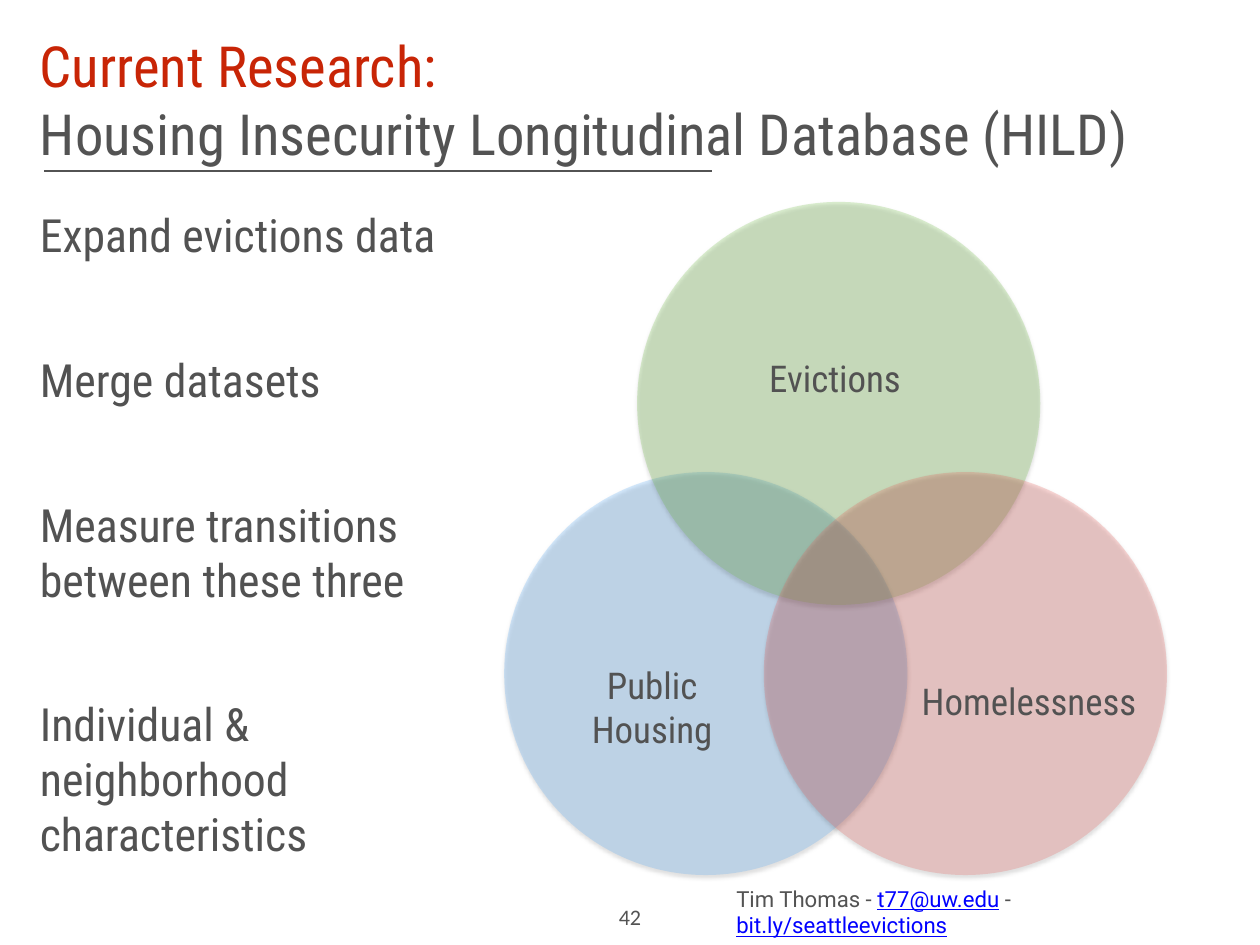
from lxml import etree
from pptx import Presentation
from pptx.dml.color import RGBColor
from pptx.enum.shapes import MSO_CONNECTOR, MSO_SHAPE
from pptx.enum.text import MSO_ANCHOR as ANCHOR, PP_ALIGN as ALIGN
from pptx.oxml import parse_xml
from pptx.oxml.ns import nsdecls, qn
from pptx.util import Inches, Pt

TEXT = RGBColor(0x52, 0x52, 0x52)
GRAY = RGBColor(0x53, 0x53, 0x53)
RED = RGBColor(0xC8, 0x25, 0x06)
LINK = RGBColor(0x00, 0x00, 0xFF)
BLUE_CIRCLE = RGBColor(0x51, 0xA8, 0xF9)
GREEN_CIRCLE = RGBColor(0x70, 0xBF, 0x41)
RED_CIRCLE = RGBColor(0xEC, 0x5C, 0x57)
CONDENSED = "Roboto Condensed"


def add_box(shapes, left, top, width, height, anchor=ANCHOR.MIDDLE, wrap=True):
    box = shapes.add_textbox(Inches(left), Inches(top), Inches(width), Inches(height))
    frame = box.text_frame
    frame.word_wrap = wrap
    frame.vertical_anchor = anchor
    frame.margin_left = frame.margin_right = Inches(0.06)
    frame.margin_top = frame.margin_bottom = Inches(0.06)
    return frame


def add_span(para, text, size, color, font=CONDENSED):
    span = para.add_run()
    span.text = text
    span.font.size = Pt(size)
    span.font.name = font
    span.font.color.rgb = color
    return span


deck = Presentation()
deck.slide_width, deck.slide_height = Inches(14.22), Inches(10.67)
page = deck.slides.add_slide(deck.slide_layouts[6])

# Rule under the title
rule = page.shapes.add_connector(
    MSO_CONNECTOR.STRAIGHT, Inches(0.5), Inches(1.93), Inches(8.03), Inches(1.93))
rule.line.color.rgb = GRAY
rule.line.width = Pt(1)
etree.SubElement(rule._element.spPr, qn("a:effectLst"))

# Research steps
steps = add_box(page.shapes, 0.39, 2.28, 5.31, 7.6, ANCHOR.TOP)
for index, step in enumerate([
    "Expand evictions data",
    "Merge datasets",
    "Measure transitions between these three",
    "Individual & neighborhood characteristics",
]):
    para = steps.add_paragraph() if index else steps.paragraphs[0]
    para.space_before = Pt(73 if index else 0)
    add_span(para, step, 37.2, TEXT)

# Title
title = add_box(page.shapes, 0.39, 0.28, 13.44, 1.67)
add_span(title.paragraphs[0], "Current Research:", 46.1, RED)
add_span(title.add_paragraph(), "Housing Insecurity Longitudinal Database (HILD)", 46.1, GRAY)

# Page number
number = add_box(page.shapes, 6.92, 10.14, 0.38, 0.39, ANCHOR.TOP, wrap=False)
number.paragraphs[0].alignment = ALIGN.CENTER
add_span(number.paragraphs[0], "42", 18, GRAY, "Calibri")

# Venn diagram: translucent circles with soft shadows
venn = page.shapes.add_group_shape().shapes
for left, top, color in [
    (5.69, 5.33, BLUE_CIRCLE),
    (7.19, 2.28, GREEN_CIRCLE),
    (8.62, 5.33, RED_CIRCLE),
]:
    circle = venn.add_shape(
        MSO_SHAPE.OVAL, Inches(left), Inches(top), Inches(4.55), Inches(4.55))
    circle.fill.solid()
    circle.fill.fore_color.rgb = color
    circle.line.fill.background()
    circle.shadow.inherit = False
    properties = circle._element.spPr
    fill_color = properties.find(qn("a:solidFill")).find(qn("a:srgbClr"))
    etree.SubElement(fill_color, qn("a:alpha"), val="24000")
    properties.find(qn("a:effectLst")).append(parse_xml(
        f'<a:outerShdw {nsdecls("a")} blurRad="{Pt(3)}" dist="{Pt(2)}" dir="5400000"'
        ' rotWithShape="0"><a:srgbClr val="000000"><a:alpha val="50000"/></a:srgbClr>'
        '</a:outerShdw>'))

# Venn labels
for label, left, top, width, height in [
    ("Evictions", 8.32, 3.97, 2.21, 0.6),
    ("Public Housing", 6.4, 7.28, 1.92, 1.4),
    ("Homelessness", 10.28, 7.15, 2.67, 1.53),
]:
    para = add_box(venn, left, top, width, height).paragraphs[0]
    para.alignment = ALIGN.CENTER
    add_span(para, label, 30, TEXT)

# Contact line
contact = add_box(page.shapes, 8.25, 10.09, 5.48, 0.41).paragraphs[0]
add_span(contact, "Tim Thomas - ", 18, GRAY, "Roboto")
add_span(contact, "t77@uw.edu", 18, LINK, "Roboto").font.underline = True
add_span(contact, " -", 18, GRAY, "Roboto")
contact.add_line_break()
add_span(contact, "bit.ly/seattleevictions", 18, LINK, "Roboto").font.underline = True

deck.save("out.pptx")
